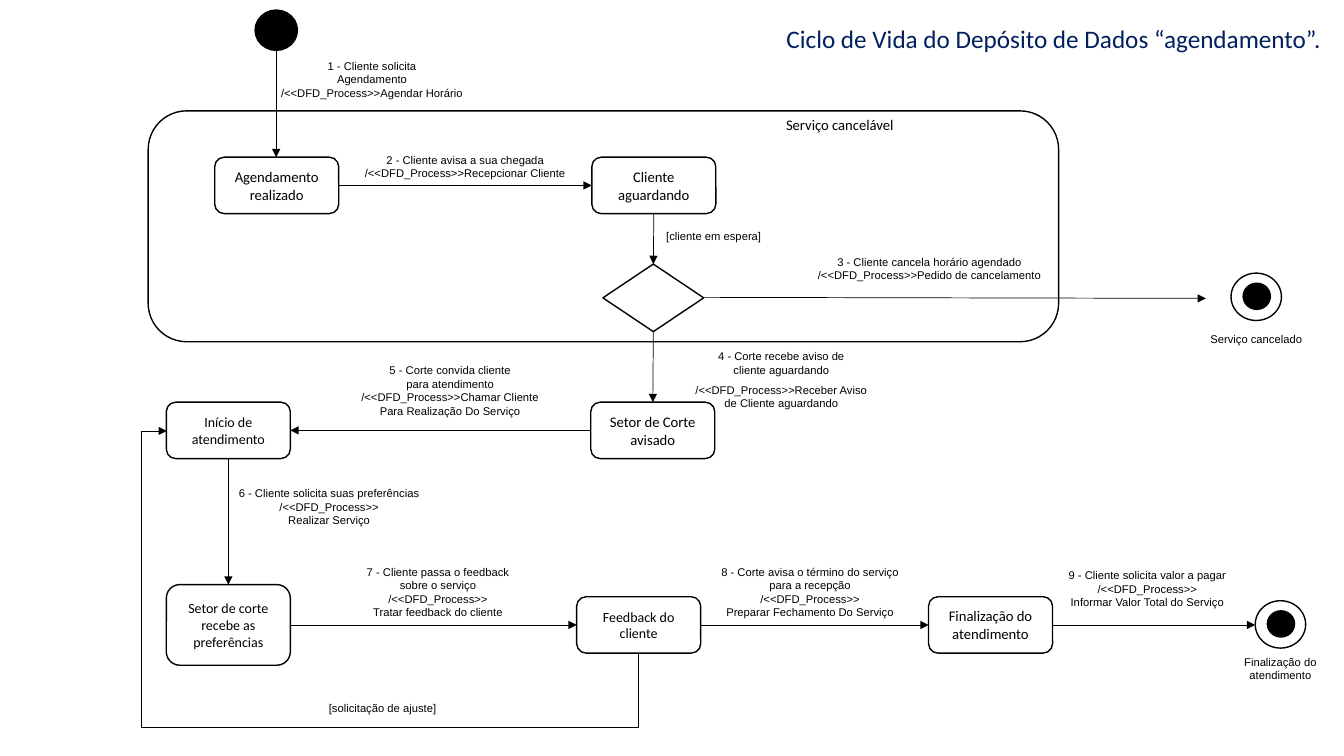
from dataclasses import dataclass

from lxml.etree import SubElement
from pptx import Presentation
from pptx.dml.color import RGBColor
from pptx.enum.shapes import MSO_CONNECTOR, MSO_SHAPE
from pptx.enum.text import MSO_ANCHOR, MSO_AUTO_SIZE, PP_ALIGN
from pptx.oxml.ns import qn
from pptx.util import Inches, Pt

TOP, LEFT, BOTTOM, RIGHT = range(4)


@dataclass(frozen=True)
class Theme:
    ink: RGBColor = RGBColor(0, 0, 0)
    paper: RGBColor = RGBColor(255, 255, 255)
    title_color: RGBColor = RGBColor(0x00, 0x20, 0x60)
    state_font: str = "Calibri"
    label_font: str = "Arial"
    title_size: float = 18
    state_size: float = 10.5
    small_state_size: float = 10
    label_size: float = 8
    outline: float = 1
    arrow: float = 0.5


class StateDiagram:
    """Draws the elements of a state diagram on one slide."""

    def __init__(self, slide, theme):
        self.slide = slide
        self.theme = theme

    def set_text(self, text_frame, text, font, size, color, align=PP_ALIGN.CENTER):
        text_frame.text = text
        for paragraph in text_frame.paragraphs:
            paragraph.alignment = align
            for run in paragraph.runs:
                run.font.name = font
                run.font.size = Pt(size)
                run.font.color.rgb = color

    def title(self, text, left, top, width, height):
        shape = self.slide.shapes.title
        shape.left, shape.top = Inches(left), Inches(top)
        shape.width, shape.height = Inches(width), Inches(height)
        text_frame = shape.text_frame
        text_frame.word_wrap = False
        text_frame.auto_size = MSO_AUTO_SIZE.NONE
        text_frame.vertical_anchor = MSO_ANCHOR.TOP
        self.set_text(text_frame, text, self.theme.state_font, self.theme.title_size,
                      self.theme.title_color, PP_ALIGN.LEFT)

    def outline(self, kind, left, top, width, height, fill=None):
        shape = self.slide.shapes.add_shape(
            kind, Inches(left), Inches(top), Inches(width), Inches(height))
        shape.shadow.inherit = False
        if fill is None:
            shape.fill.background()
        else:
            shape.fill.solid()
            shape.fill.fore_color.rgb = fill
        shape.line.color.rgb = self.theme.ink
        shape.line.width = Pt(self.theme.outline)
        return shape

    def state(self, text, left, top, height=0.56, size=None):
        shape = self.outline(MSO_SHAPE.ROUNDED_RECTANGLE, left, top, 1.23, height,
                             self.theme.paper)
        shape.text_frame.vertical_anchor = MSO_ANCHOR.MIDDLE
        shape.text_frame.word_wrap = True
        self.set_text(shape.text_frame, text, self.theme.state_font,
                      size or self.theme.state_size, self.theme.ink)
        return shape

    def final_state(self, left, top):
        kind = MSO_SHAPE.FLOWCHART_CONNECTOR
        self.outline(kind, left + 0.12, top + 0.1, 0.27, 0.26, self.theme.ink)
        self.outline(kind, left, top, 0.5, 0.47)

    def label(self, text, left, top, width, height, font=None, size=None):
        box = self.slide.shapes.add_textbox(
            Inches(left), Inches(top), Inches(width), Inches(height))
        box.text_frame.word_wrap = False
        box.text_frame.auto_size = MSO_AUTO_SIZE.SHAPE_TO_FIT_TEXT
        self.set_text(box.text_frame, text, font or self.theme.label_font,
                      size or self.theme.label_size, self.theme.ink)
        return box

    def arrow(self, start, end, kind=MSO_CONNECTOR.STRAIGHT):
        connector = self.slide.shapes.add_connector(
            kind, *(Inches(value) for value in (*start, *end)))
        connector.line.color.rgb = self.theme.ink
        connector.line.width = Pt(self.theme.arrow)
        line = connector._element.spPr.find(qn("a:ln"))
        SubElement(line, qn("a:tailEnd"), type="triangle")
        SubElement(connector._element.spPr, qn("a:effectLst"))
        return connector

    def link(self, source, source_side, target, target_side):
        connector = self.arrow((0, 0), (1, 1))
        connector.begin_connect(source, source_side)
        connector.end_connect(target, target_side)

    def loop_back(self, left, top, width, height, adjustments):
        connector = self.arrow((left, top), (left + width, top + height),
                               MSO_CONNECTOR.ELBOW)
        properties = connector._element.spPr
        transform = properties.find(qn("a:xfrm"))
        transform.set("rot", "5400000")
        transform.set("flipH", "1")
        geometry = properties.find(qn("a:prstGeom"))
        geometry.set("prst", "bentConnector4")
        guides = geometry.find(qn("a:avLst"))
        if guides is None:
            guides = SubElement(geometry, qn("a:avLst"))
        for number, value in enumerate(adjustments, 1):
            SubElement(guides, qn("a:gd"), name=f"adj{number}", fmla=f"val {value}")


LABELS = [
    ("1 - Cliente solicita\nAgendamento\n/<<DFD_Process>>Agendar Horário", 2.68, 0.54, 2.02, 0.5),
    ("2 - Cliente avisa a sua chegada\n/<<DFD_Process>>Recepcionar Cliente", 3.51, 1.47, 2.21, 0.37),
    ("3 - Cliente cancela horário agendado\n/<<DFD_Process>>Pedido de cancelamento",
     8, 2.48, 2.44, 0.37),
    ("5 - Corte convida cliente\npara atendimento\n/<<DFD_Process>>Chamar Cliente\n"
     "Para Realização Do Serviço", 3.46, 3.56, 2.01, 0.64),
    ("6 - Cliente solicita suas preferências\n/<<DFD_Process>>\nRealizar Serviço",
     2.26, 4.78, 2.01, 0.5),
    ("7 - Cliente passa o feedback\nsobre o serviço\n/<<DFD_Process>>\n"
     "Tratar feedback do cliente", 3.51, 5.56, 1.67, 0.64),
    ("8 - Corte avisa o término do serviço\npara a recepção\n/<<DFD_Process>>\n"
     "Preparar Fechamento Do Serviço", 7.03, 5.56, 2.01, 0.64),
    ("9 - Cliente solicita valor a pagar\n/<<DFD_Process>>\nInformar Valor Total do Serviço",
     10.49, 5.59, 1.78, 0.5),
    ("[cliente em espera]", 6.5, 2.23, 1.16, 0.24),
    ("[solicitação de ajuste]", 2.59, 6.91, 2.41, 0.24),
    ("Serviço cancelado", 11.9, 3.25, 1.12, 0.24),
    ("Finalização do\natendimento", 12.22, 6.45, 0.96, 0.37),
]


def main():
    presentation = Presentation()
    presentation.slide_width, presentation.slide_height = Inches(13.33), Inches(7.5)
    theme = Theme()
    diagram = StateDiagram(presentation.slides.add_slide(presentation.slide_layouts[5]), theme)

    diagram.title("Ciclo de Vida do Depósito de Dados “agendamento”.", 7.7, 0.18, 5.57, 0.4)
    diagram.outline(MSO_SHAPE.ROUNDED_RECTANGLE, 1.47, 1.1, 9.03, 2.29)
    diagram.label("Serviço cancelável", 7.66, 1.1, 1.34, 0.29,
                  theme.state_font, theme.state_size)

    diagram.outline(MSO_SHAPE.FLOWCHART_CONNECTOR, 2.53, 0.1, 0.42, 0.4, theme.ink)
    small = theme.small_state_size
    scheduled = diagram.state("Agendamento\nrealizado", 2.13, 1.56)
    waiting = diagram.state("Cliente\naguardando", 5.87, 1.56)
    decision = diagram.outline(MSO_SHAPE.FLOWCHART_DECISION, 5.98, 2.62, 1, 0.67, theme.paper)
    notified = diagram.state("Setor de Corte\navisado", 5.86, 3.99)
    started = diagram.state("Início de atendimento", 1.65, 3.99, size=small)
    preferences = diagram.state("Setor de corte recebe as preferências", 1.65, 5.8, 0.8, small)
    feedback = diagram.state("Feedback do\ncliente", 5.72, 5.92, size=small)
    finished = diagram.state("Finalização do\natendimento", 9.21, 5.92)
    diagram.final_state(12.21, 2.71)
    diagram.final_state(12.45, 5.96)

    diagram.arrow((2.74, 0.5), (2.74, 1.56))
    diagram.arrow((6.98, 2.95), (11.96, 2.96))
    diagram.arrow((10.44, 6.2), (12.45, 6.2))
    diagram.link(scheduled, RIGHT, waiting, LEFT)
    diagram.link(waiting, BOTTOM, decision, TOP)
    diagram.link(decision, BOTTOM, notified, TOP)
    diagram.link(notified, LEFT, started, RIGHT)
    diagram.link(started, BOTTOM, preferences, TOP)
    diagram.link(preferences, RIGHT, feedback, LEFT)
    diagram.link(feedback, RIGHT, finished, LEFT)
    diagram.loop_back(2.89, 3.04, 2.21, 4.68, (-32900, 105300))

    for label in LABELS:
        diagram.label(*label)
    received = diagram.label(
        "4 - Corte recebe aviso de\ncliente aguardando\n/<<DFD_Process>>Receber Aviso\n"
        "de Cliente aguardando", 6.77, 3.42, 1.96, 0.71)
    received.text_frame.paragraphs[2].line_spacing = 1.5

    presentation.save("out.pptx")


if __name__ == "__main__":
    main()
